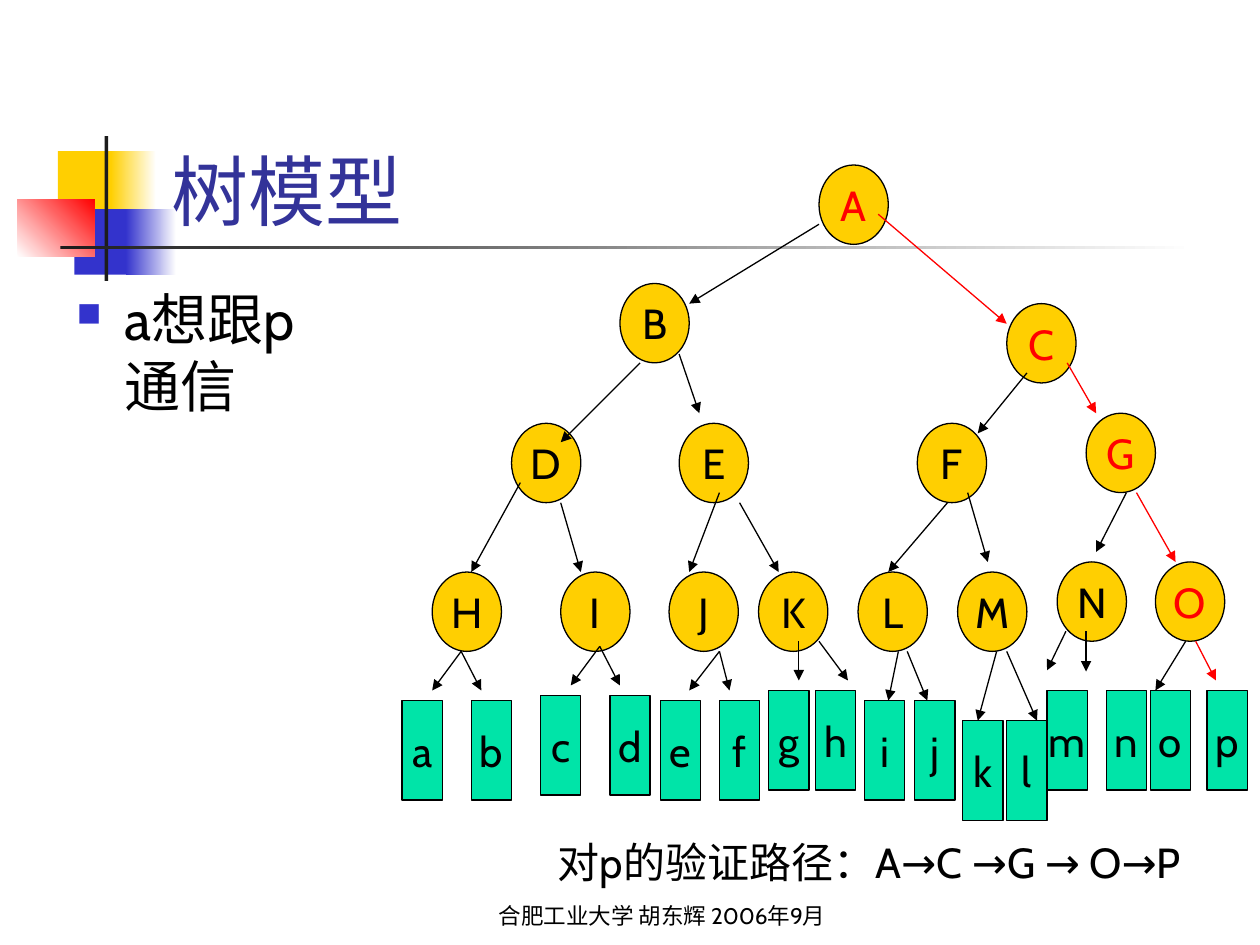
from dataclasses import dataclass

from lxml import etree
from pptx import Presentation
from pptx import util as u
from pptx.dml.color import RGBColor
from pptx.enum import shapes, text
from pptx.oxml.ns import qn


@dataclass(frozen=True)
class Theme:
    font: str = "Cabin"
    black: str = "000000"
    white: str = "FFFFFF"
    red: str = "FF0000"
    gold: str = "FFCF01"
    blue: str = "3333CC"
    navy: str = "333399"
    green: str = "00E4A8"
    coal: str = "1C1C1C"
    title: float = 44
    body: float = 32
    label: float = 24
    foot: float = 12.9
    line: float = 0.75


THEME = Theme()
ROUTE = "ACGOp"  # nodes on the verified path, drawn in red
NODE = (0.55, 0.63)
LEAF = (0.32, 0.79)

# top of a run of nodes -> left edge of each
NODES = [
    (1.31, {"A": 6.5}),
    (2.25, {"B": 4.92}),
    (2.41, {"C": 7.99}),
    (3.36, {"D": 4.06, "E": 5.39, "F": 7.28}),
    (3.28, {"G": 8.62}),
    (4.54, {"H": 3.43, "I": 4.45, "J": 5.31, "K": 6.02, "L": 6.81, "M": 7.6}),
    (4.46, {"N": 8.39, "O": 9.17}),
]
LEAVES = [
    (5.56, {"a": 3.19, "b": 3.74, "e": 5.24, "f": 5.71, "i": 6.86, "j": 7.26}),
    (5.52, {"c": 4.29, "d": 4.84}),
    (5.72, {"k": 7.64, "l": 7.99}),
    (5.48, {"g": 6.1, "h": 6.47, "m": 8.31, "n": 8.78, "o": 9.13, "p": 9.58}),
]
# parent and child, then start x, y and end x, y
EDGES = [
    ("AB", 6.5, 1.78, 5.47, 2.41), ("AC", 6.97, 1.7, 7.99, 2.57),
    ("BD", 5.08, 2.88, 4.45, 3.51), ("BE", 5.39, 2.81, 5.55, 3.28),
    ("CF", 8.15, 2.96, 7.76, 3.44), ("CG", 8.47, 2.88, 8.7, 3.28),
    ("DH", 4.13, 3.83, 3.74, 4.54), ("DI", 4.45, 3.99, 4.61, 4.54),
    ("EJ", 5.71, 3.91, 5.47, 4.54), ("EK", 5.87, 3.99, 6.18, 4.54),
    ("FL", 7.52, 3.99, 7.05, 4.54), ("FM", 7.68, 3.91, 7.84, 4.46),
    ("GN", 8.94, 3.91, 8.7, 4.38), ("GO", 9.02, 3.91, 9.33, 4.46),
    ("Ha", 3.66, 5.17, 3.43, 5.48), ("Hb", 3.66, 5.17, 3.82, 5.48),
    ("Ic", 4.76, 5.13, 4.53, 5.44), ("Id", 4.76, 5.13, 4.92, 5.44),
    ("Je", 5.71, 5.17, 5.47, 5.48), ("Jf", 5.71, 5.17, 5.79, 5.48),
    ("Kg", 6.34, 5.09, 6.34, 5.4), ("Kh", 6.5, 5.09, 6.73, 5.4),
    ("Li", 7.13, 5.17, 7.05, 5.56), ("Lj", 7.2, 5.17, 7.36, 5.56),
    ("Mk", 7.91, 5.17, 7.76, 5.72), ("Ml", 7.99, 5.17, 8.23, 5.72),
    ("Nm", 8.46, 5.01, 8.31, 5.32), ("Nn", 8.62, 5.01, 8.62, 5.33),
    ("Oo", 9.41, 5.09, 9.17, 5.48), ("Op", 9.49, 5.09, 9.65, 5.4),
]
# left, top, width, height, colours, angle
DECOR = [
    (0.46, 1.2, 0.48, 0.52, [THEME.gold], 0),
    (0.88, 1.2, 0.36, 0.52, [THEME.gold, THEME.white], 0),
    (0.59, 1.66, 0.46, 0.52, [THEME.blue], 0),
    (1, 1.66, 0.4, 0.52, [THEME.blue, THEME.white], 0),
    (0.14, 1.58, 0.61, 0.46, [THEME.white, THEME.red], 45),
    (0.83, 1.08, 0.03, 1.15, [THEME.coal], 0),
    (0.48, 1.95, 9, 0.03, [THEME.coal, THEME.white], 0),
]


def rgb(code):
    return RGBColor.from_string(code)


def write(para, words, size, color, align=text.PP_ALIGN.LEFT):
    para.alignment = align
    run = para.add_run()
    run.text = words
    run.font.name = THEME.font
    run.font.size = u.Pt(size)
    run.font.color.rgb = rgb(color)


def add_shape(slide, kind, *box):
    shape = slide.shapes.add_shape(kind, *map(u.Inches, box))
    shape.shadow.inherit = False
    return shape


def add_decor(slide, x, y, w, h, colors, angle):
    """Draw a borderless block, plain or fading between two colours."""
    block = add_shape(slide, shapes.MSO_SHAPE.RECTANGLE, x, y, w, h)
    block.line.fill.background()
    if len(colors) == 1:
        block.fill.solid()
        block.fill.fore_color.rgb = rgb(colors[0])
        return
    block.fill.gradient()
    block.fill.gradient_angle = angle
    for stop, color in zip(block.fill.gradient_stops, colors):
        stop.color.rgb = rgb(color)


def add_nodes(slide, kind, size, fill, rows):
    for top, row in rows:
        for name, left in row.items():
            node = add_shape(slide, kind, left, top, *size)
            node.fill.solid()
            node.fill.fore_color.rgb = rgb(fill)
            node.line.color.rgb = rgb(THEME.black)
            node.line.width = u.Pt(THEME.line)
            frame = node.text_frame
            frame.word_wrap = False
            frame.vertical_anchor = text.MSO_ANCHOR.MIDDLE
            hot = name in ROUTE and name.isupper()
            write(frame.paragraphs[0], name, THEME.label,
                  THEME.red if hot else THEME.black, text.PP_ALIGN.CENTER)


def add_arrow(slide, pair, *ends):
    arrow = slide.shapes.add_connector(
        shapes.MSO_CONNECTOR.STRAIGHT, *map(u.Inches, ends))
    hot = set(pair) <= set(ROUTE)
    arrow.line.color.rgb = rgb(THEME.red if hot else THEME.black)
    arrow.line.width = u.Pt(THEME.line)
    etree.SubElement(arrow.line._get_or_add_ln(), qn("a:tailEnd"), type="triangle")
    etree.SubElement(arrow._element.spPr, qn("a:effectLst"))


def add_text(slide, box, words, size, color=THEME.black, wrap=True,
             anchor=text.MSO_ANCHOR.TOP, align=text.PP_ALIGN.LEFT):
    frame = slide.shapes.add_textbox(*map(u.Inches, box)).text_frame
    frame.word_wrap = wrap
    frame.vertical_anchor = anchor
    para = frame.paragraphs[0]
    write(para, words, size, color, align)
    return para


def add_bullet(para):
    props = para._p.get_or_add_pPr()
    props.set("marL", str(u.Inches(0.38)))
    props.set("indent", str(u.Inches(-0.38)))
    tint = etree.SubElement(props, qn("a:buClr"))
    etree.SubElement(tint, qn("a:srgbClr"), val=THEME.blue)
    etree.SubElement(props, qn("a:buSzPct"), val="60000")
    etree.SubElement(props, qn("a:buChar"), char="■")


def main():
    deck = Presentation()
    deck.slide_width, deck.slide_height = u.Inches(10), u.Inches(7.5)
    slide = deck.slides.add_slide(deck.slide_layouts[6])
    low = text.MSO_ANCHOR.BOTTOM

    for item in DECOR:
        add_decor(slide, *item)
    add_text(slide, (3.67, 6.92, 3.17, 0.5), "合肥工业大学 胡东辉 2006年9月",
             THEME.foot, anchor=low, align=text.PP_ALIGN.CENTER)
    add_text(slide, (1.26, 0.67, 8.52, 1.25), "树模型",
             THEME.title, THEME.navy, anchor=low)
    add_bullet(add_text(slide, (0.51, 2.21, 1.97, 4.5), "a想跟p通信", THEME.body))

    add_nodes(slide, shapes.MSO_SHAPE.OVAL, NODE, THEME.gold, NODES)
    add_nodes(slide, shapes.MSO_SHAPE.RECTANGLE, LEAF, THEME.green, LEAVES)
    for edge in EDGES:
        add_arrow(slide, *edge)
    add_text(slide, (4.33, 6.59, 5.48, 0.5), "对p的验证路径：A→C →G → O→P",
             THEME.label, wrap=False)

    deck.save("out.pptx")


if __name__ == "__main__":
    main()
